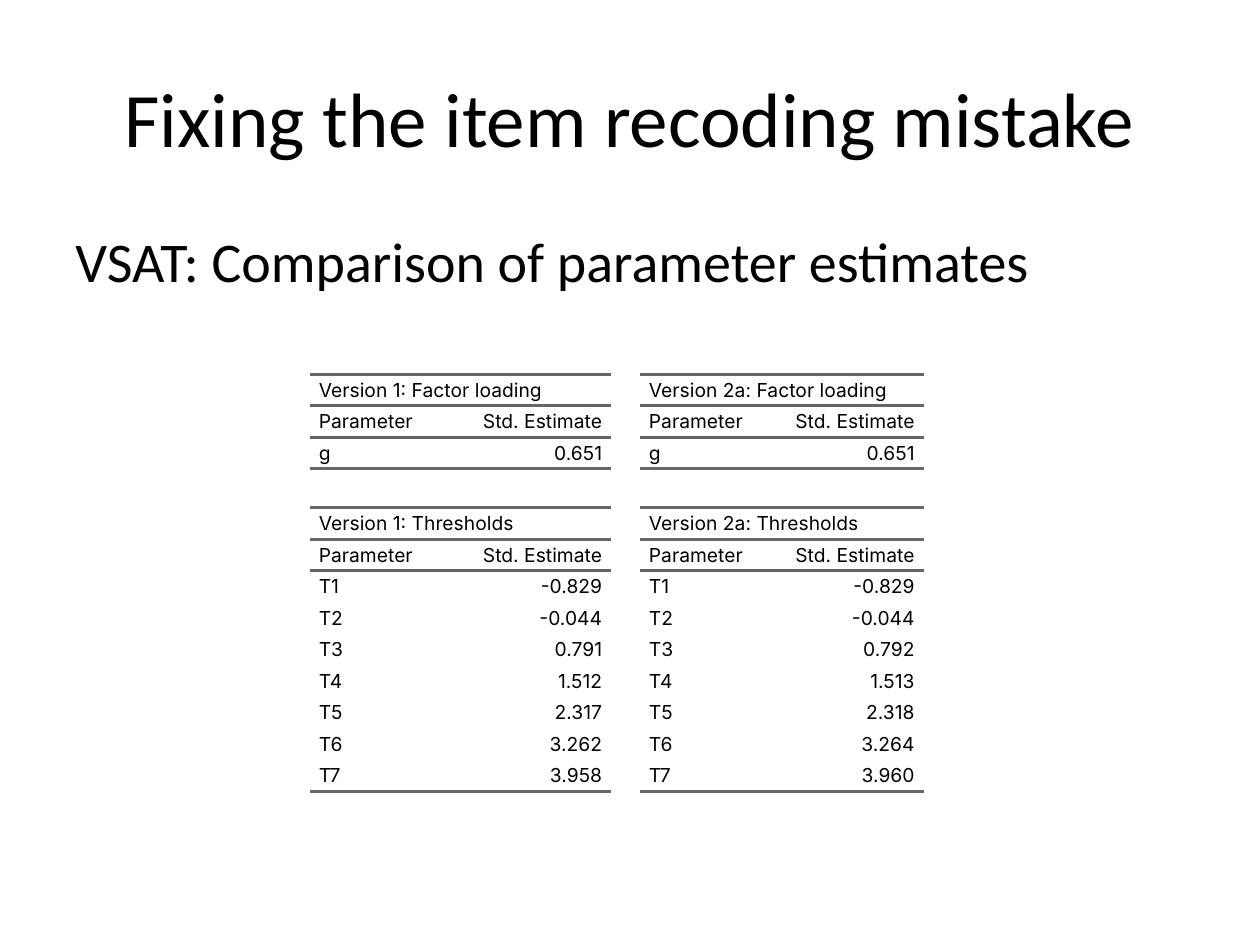
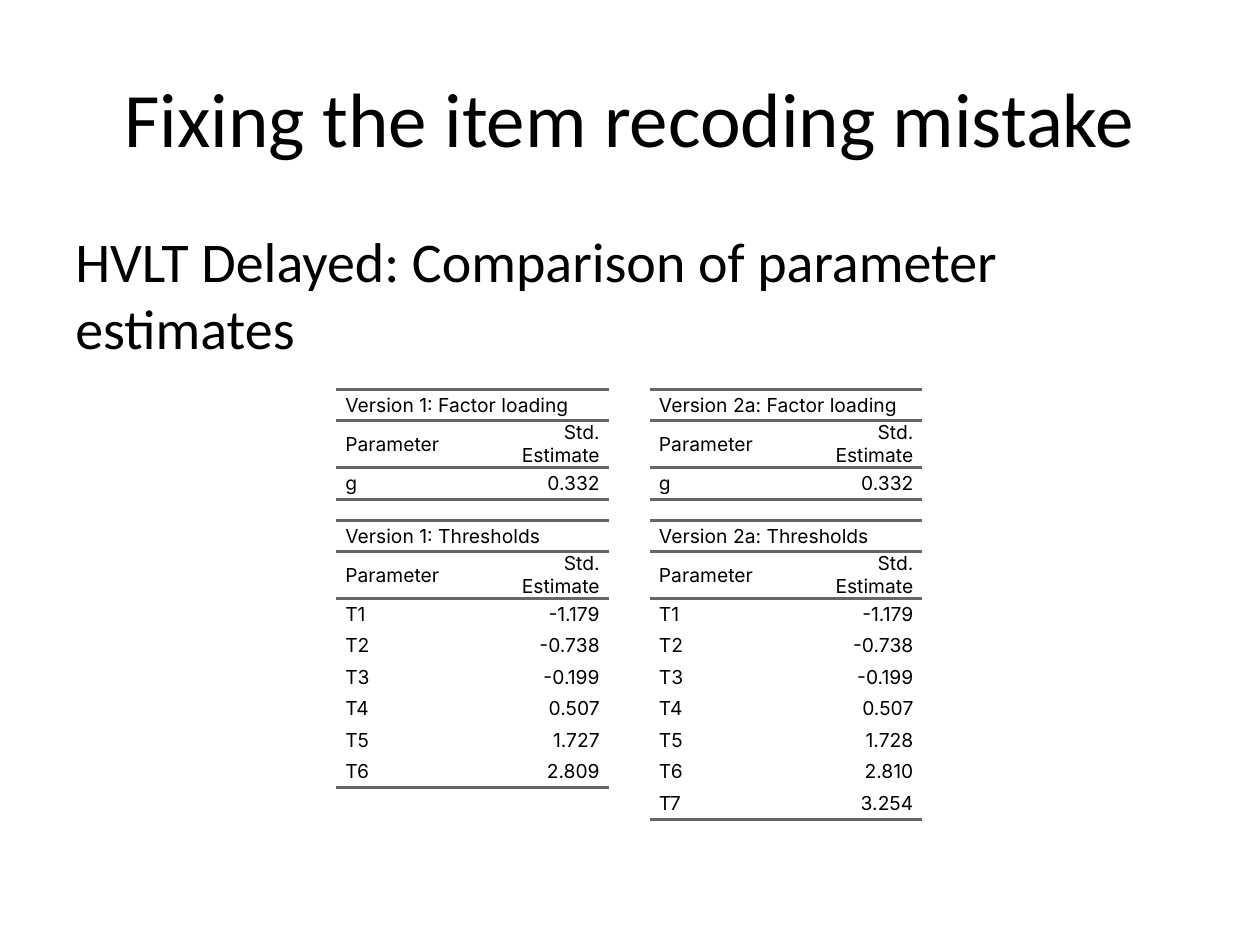
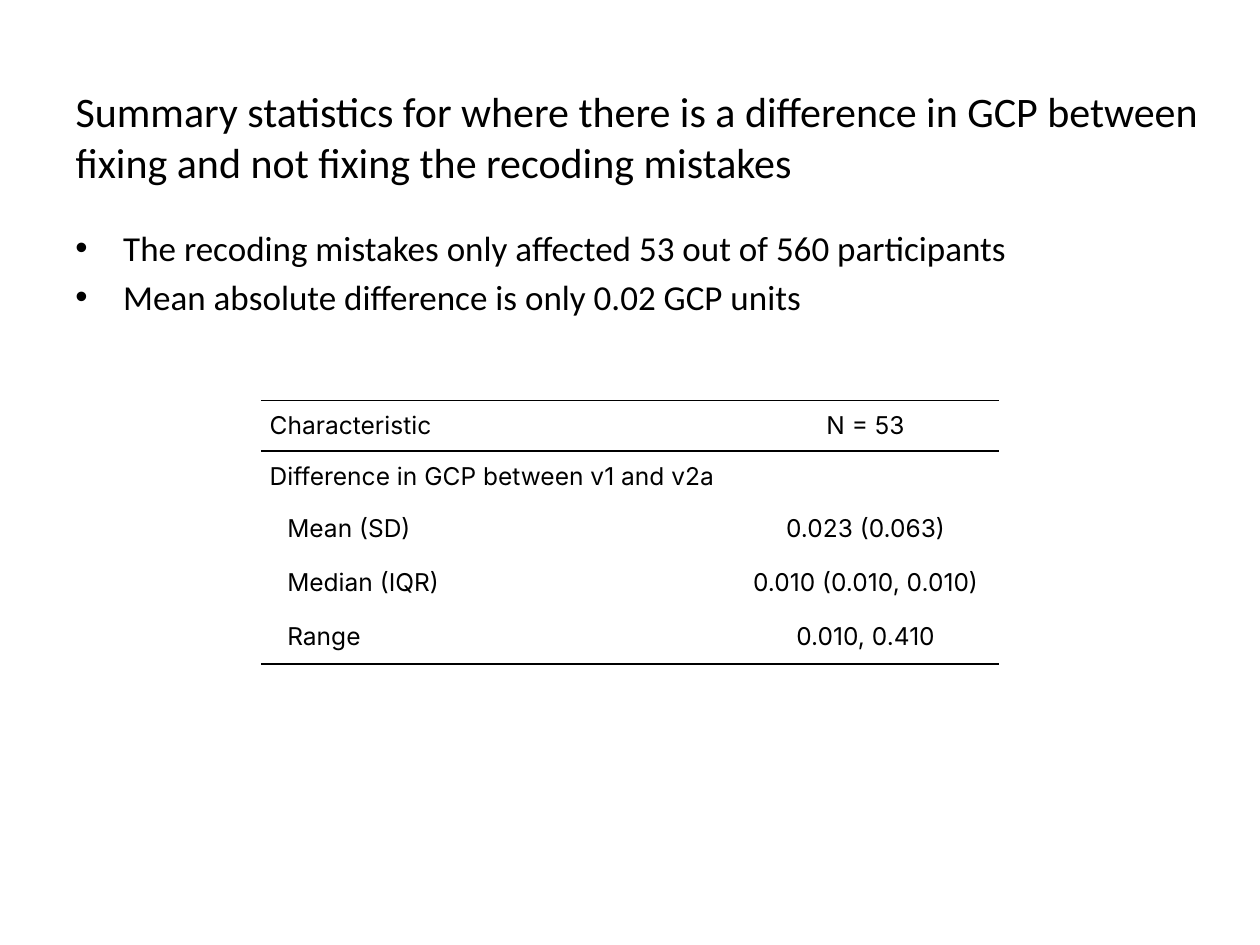
import dataclasses
import typing

import lxml.etree
import pptx
import pptx.dml.color
import pptx.enum.text
import pptx.oxml.ns
import pptx.util

Inches = pptx.util.Inches
Align = pptx.enum.text.PP_ALIGN
Anchor = pptx.enum.text.MSO_ANCHOR
qn = pptx.oxml.ns.qn


@dataclasses.dataclass(frozen=True)
class Theme:
    ink: str = "000000"
    rule: str = "666666"
    head: str = "Calibri"
    data: str = "Inter"
    title: float = 44
    lead: float = 32
    note: float = 24
    point: float = 20
    large: float = 14
    small: float = 11


@dataclasses.dataclass(frozen=True)
class Box:
    left: float
    top: float
    width: float
    height: float

    def spans(self) -> tuple:
        return tuple(Inches(n) for n in dataclasses.astuple(self))


@dataclasses.dataclass(frozen=True)
class Grid:
    left: float
    top: float
    cols: tuple[float, ...]
    rows: tuple[float, ...]
    cells: list[tuple[str, str]]
    size: float
    line: str
    weight: float
    align: Align
    heads: int
    merge: bool = False
    nest: int = 99
    lead: float = 5


@dataclasses.dataclass(frozen=True)
class Version:
    name: str
    left: float
    width: float
    load: str
    steps: tuple[str, ...]


@dataclasses.dataclass(frozen=True)
class Study:
    lead: str
    tops: tuple[float, float]
    pair: tuple[Version, Version]


THEME = Theme()
TITLE = Box(0.5, 0.3, 9, 1.25)
BODY = Box(0.5, 1.75, 9, 4.95)
NOTE = Box(0.5, 0.63, 9.84, 1.21)
PAD = 0.07
ROW = 0.25

STUDIES = [
    Study("VSAT: Comparison of parameter estimates", (2.97, 4.03), (
        Version("Version 1", 2.46, 2.39, "0.651",
                ("-0.829", "-0.044", "0.791", "1.512", "2.317", "3.262", "3.958")),
        Version("Version 2a", 5.08, 2.25, "0.651",
                ("-0.829", "-0.044", "0.792", "1.513", "2.318", "3.264", "3.960")),
    )),
    Study("HVLT Delayed: Comparison of parameter estimates", (3.09, 4.13), (
        Version("Version 1", 2.67, 2.16, "0.332",
                ("-1.179", "-0.738", "-0.199", "0.507", "1.727", "2.809")),
        Version("Version 2a", 5.16, 2.16, "0.332",
                ("-1.179", "-0.738", "-0.199", "0.507", "1.728", "2.810", "3.254")),
    )),
]


def write(frame: typing.Any, *lines: str, size: float, font: str = THEME.head,
          color: str = THEME.ink, align: Align = Align.LEFT, before: float = 0,
          after: float = 0, left: float = 0, right: float = 0, hang: float = 0,
          bullet: str = "") -> None:
    for i, line in enumerate(lines):
        para = frame.add_paragraph() if i else frame.paragraphs[0]
        para.alignment = align
        para.space_before = pptx.util.Pt(before)
        para.space_after = pptx.util.Pt(after)
        props = para._p.get_or_add_pPr()
        props.set("marL", str(Inches(left)))
        props.set("marR", str(Inches(right)))
        props.set("indent", str(Inches(-hang)))
        if bullet:
            lxml.etree.SubElement(props, qn("a:buFont"), typeface="Arial")
            lxml.etree.SubElement(props, qn("a:buChar"), char=bullet)
        if not line:
            lxml.etree.SubElement(para._p, qn("a:endParaRPr"), sz=str(int(size * 100)))
            continue
        run = para.add_run()
        run.text = line
        run.font.name = font
        run.font.size = pptx.util.Pt(size)
        run.font.color.rgb = pptx.dml.color.RGBColor.from_string(color)


def place(shape: typing.Any, box: Box, anchor: Anchor) -> typing.Any:
    shape.left, shape.top, shape.width, shape.height = box.spans()
    frame = shape.text_frame
    frame.word_wrap = True
    frame.auto_size = pptx.enum.text.MSO_AUTO_SIZE.NONE
    frame.vertical_anchor = anchor
    return frame


def border(cell: typing.Any, sides: str, color: str, weight: float) -> None:
    props = cell._tc.get_or_add_tcPr()
    for i, side in enumerate("LRTB"):
        edge = lxml.etree.Element(qn("a:ln" + side))
        if side in sides:
            edge.set("w", str(pptx.util.Pt(weight)))
            fill = lxml.etree.SubElement(edge, qn("a:solidFill"))
            lxml.etree.SubElement(fill, qn("a:srgbClr"), val=color)
        else:
            lxml.etree.SubElement(edge, qn("a:noFill"))
        props.insert(i, edge)


def draw(slide: typing.Any, grid: Grid) -> None:
    box = Box(grid.left, grid.top, sum(grid.cols), sum(grid.rows))
    table = slide.shapes.add_table(len(grid.rows), len(grid.cols), *box.spans()).table
    table.first_row = table.horz_banding = False
    for col, width in zip(table.columns, grid.cols):
        col.width = Inches(width)
    for row, height in zip(table.rows, grid.rows):
        row.height = Inches(height)
    if grid.merge:
        table.cell(0, 0).merge(table.cell(0, 1))
    final = len(grid.rows) - 1
    for r, texts in enumerate(grid.cells):
        sides = "T" if r <= grid.heads else ""
        if r < grid.heads or r == final:
            sides += "B"
        gap = grid.lead if r == 0 else 5
        for c, text in enumerate(texts):
            cell = table.cell(r, c)
            cell.margin_left = cell.margin_right = 0
            cell.margin_top = cell.margin_bottom = 0
            cell.vertical_anchor = Anchor.MIDDLE
            cell.fill.background()
            border(cell, sides, grid.line, grid.weight)
            inset = 0.21 if c == 0 and r >= grid.nest else PAD
            write(cell.text_frame, text, size=grid.size, font=THEME.data,
                  align=grid.align if c else Align.LEFT,
                  before=gap, after=gap, left=inset, right=PAD)


def compare(slide: typing.Any, study: Study) -> None:
    write(place(slide.shapes.title, TITLE, Anchor.MIDDLE),
          "Fixing the item recoding mistake", size=THEME.title, align=Align.CENTER)
    body = slide.shapes.add_textbox(*BODY.spans())
    write(place(body, BODY, Anchor.TOP), study.lead, size=THEME.lead,
          before=THEME.lead * 0.2)
    for item in study.pair:
        steps = [(f"T{i}", value) for i, value in enumerate(item.steps, 1)]
        parts = (("Factor loading", [("g", item.load)]), ("Thresholds", steps))
        for top, (label, values) in zip(study.tops, parts):
            cells = [(f"{item.name}: {label}", ""), ("Parameter", "Std. Estimate"), *values]
            draw(slide, Grid(item.left, top, (item.width / 2,) * 2, (ROW,) * len(cells),
                             cells, THEME.small, THEME.rule, 2, Align.RIGHT, 2, merge=True))


def review(slide: typing.Any) -> None:
    write(place(slide.shapes.title, NOTE, Anchor.TOP),
          "Summary statistics for where there is a difference in GCP between "
          "fixing and not fixing the recoding mistakes", size=THEME.note)
    body = slide.shapes.add_textbox(*BODY.spans())
    write(place(body, BODY, Anchor.TOP),
          "The recoding mistakes only affected 53 out of 560 participants",
          "Mean absolute difference is only 0.02 GCP units",
          size=THEME.point, before=THEME.point * 0.2, left=0.38, hang=0.38, bullet="•")
    cells = [
        ("Characteristic", "N = 53"),
        ("Difference in GCP between v1 and v2a", ""),
        ("Mean (SD)", "0.023 (0.063)"),
        ("Median (IQR)", "0.010 (0.010, 0.010)"),
        ("Range", "0.010, 0.410"),
    ]
    draw(slide, Grid(2.07, 3.18, (3.74, 2.12), (0.4,) * 2 + (0.43,) * 3, cells,
                     THEME.large, THEME.ink, 1, Align.CENTER, 1, nest=2, lead=2))


def main() -> None:
    deck = pptx.Presentation()
    deck.slide_width, deck.slide_height = Inches(10), Inches(7.5)
    layout = deck.slide_layouts.get_by_name("Title Only")
    for study in STUDIES:
        compare(deck.slides.add_slide(layout), study)
    review(deck.slides.add_slide(layout))
    deck.save("out.pptx")


main()
